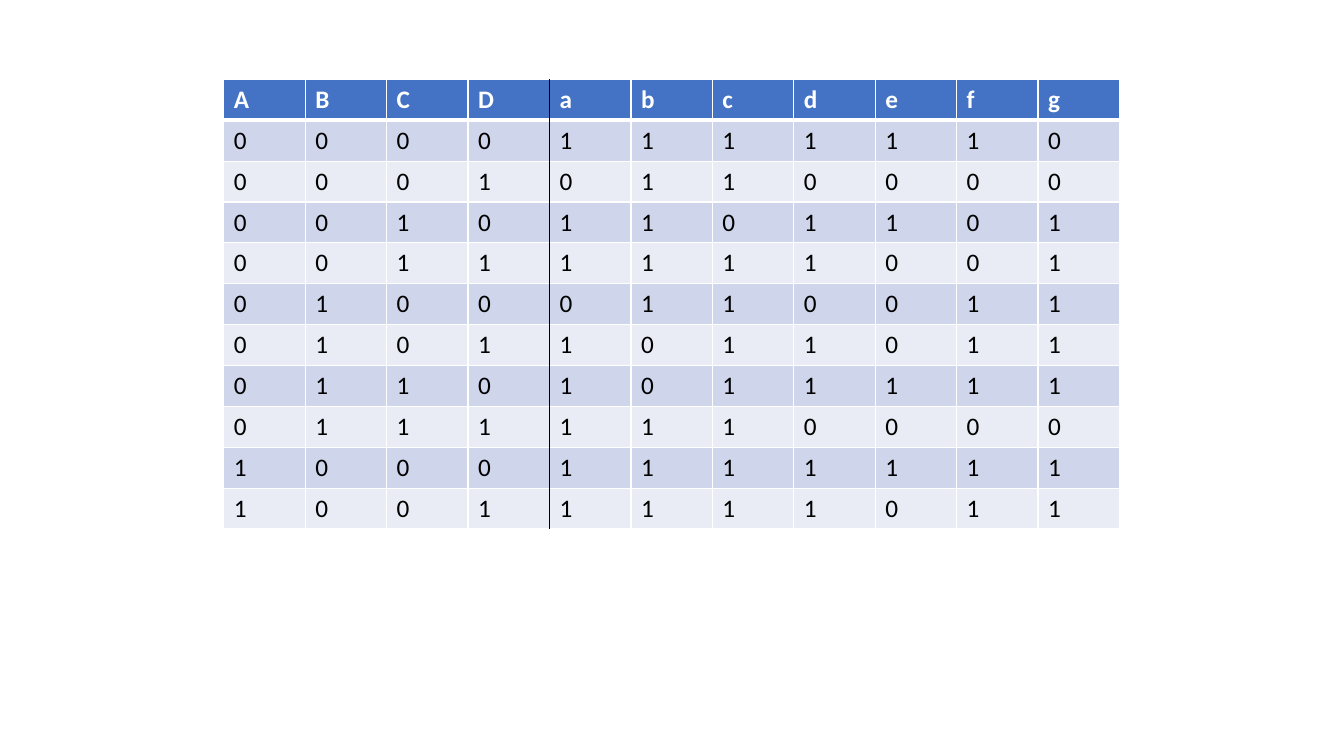
from lxml import etree
from pptx import Presentation
from pptx import util as u
from pptx.dml.color import RGBColor
from pptx.enum import shapes
from pptx.oxml.ns import qn

WHITE = RGBColor(0xFF, 0xFF, 0xFF)
BLACK = RGBColor(0x00, 0x00, 0x00)
HEADER_BLUE = RGBColor(0x44, 0x72, 0xC4)
BAND_DARK = RGBColor(0xCF, 0xD5, 0xEA)
BAND_LIGHT = RGBColor(0xE9, 0xEB, 0xF5)

INPUTS = "ABCD"
SEGMENTS = "abcdefg"
DIGIT_SEGMENTS = [
    "1111110", "0110000", "1101101", "1111001", "0110011",
    "1011011", "1011111", "1110000", "1111111", "1111011",
]


def set_border(cell, side, points):
    border = etree.SubElement(cell._tc.get_or_add_tcPr(), qn(f"a:ln{side}"))
    border.set("w", str(u.Pt(points)))
    fill = etree.SubElement(border, qn("a:solidFill"))
    etree.SubElement(fill, qn("a:srgbClr")).set("val", str(WHITE))


def format_cell(cell, symbol, row):
    is_header = row == 0
    widths = {"L": 1, "R": 1, "T": 3 if row == 1 else 1, "B": 3 if is_header else 1}
    for side, points in widths.items():
        set_border(cell, side, points)
    cell.fill.solid()
    band = BAND_DARK if row % 2 else BAND_LIGHT
    cell.fill.fore_color.rgb = HEADER_BLUE if is_header else band
    cell.text_frame.text = symbol
    font = cell.text_frame.paragraphs[0].runs[0].font
    font.name = "Calibri"
    font.size = u.Pt(18)
    font.bold = is_header
    font.color.rgb = WHITE if is_header else BLACK


def add_truth_table(slide, left, top, width, height):
    rows = [INPUTS + SEGMENTS]
    rows += [f"{digit:04b}{lit}" for digit, lit in enumerate(DIGIT_SEGMENTS)]
    truth_table = slide.shapes.add_table(
        len(rows), len(rows[0]), left, top, width, height
    ).table
    for row, symbols in enumerate(rows):
        for column, symbol in enumerate(symbols):
            format_cell(truth_table.cell(row, column), symbol, row)

    divider_x = left + width * len(INPUTS) // len(rows[0])
    divider = slide.shapes.add_connector(
        shapes.MSO_CONNECTOR.STRAIGHT, divider_x, top, divider_x, top + height
    )
    divider.line.color.rgb = BLACK
    divider.line.width = u.Pt(0.5)
    etree.SubElement(divider._element.spPr, qn("a:effectLst"))


def main():
    deck = Presentation()
    deck.slide_width = u.Cm(33.87)
    deck.slide_height = u.Cm(19.05)
    slide = deck.slides.add_slide(deck.slide_layouts[6])
    add_truth_table(slide, u.Cm(5.64), u.Cm(2), u.Cm(22.58), u.Cm(11.33))
    deck.save("out.pptx")


if __name__ == "__main__":
    main()
